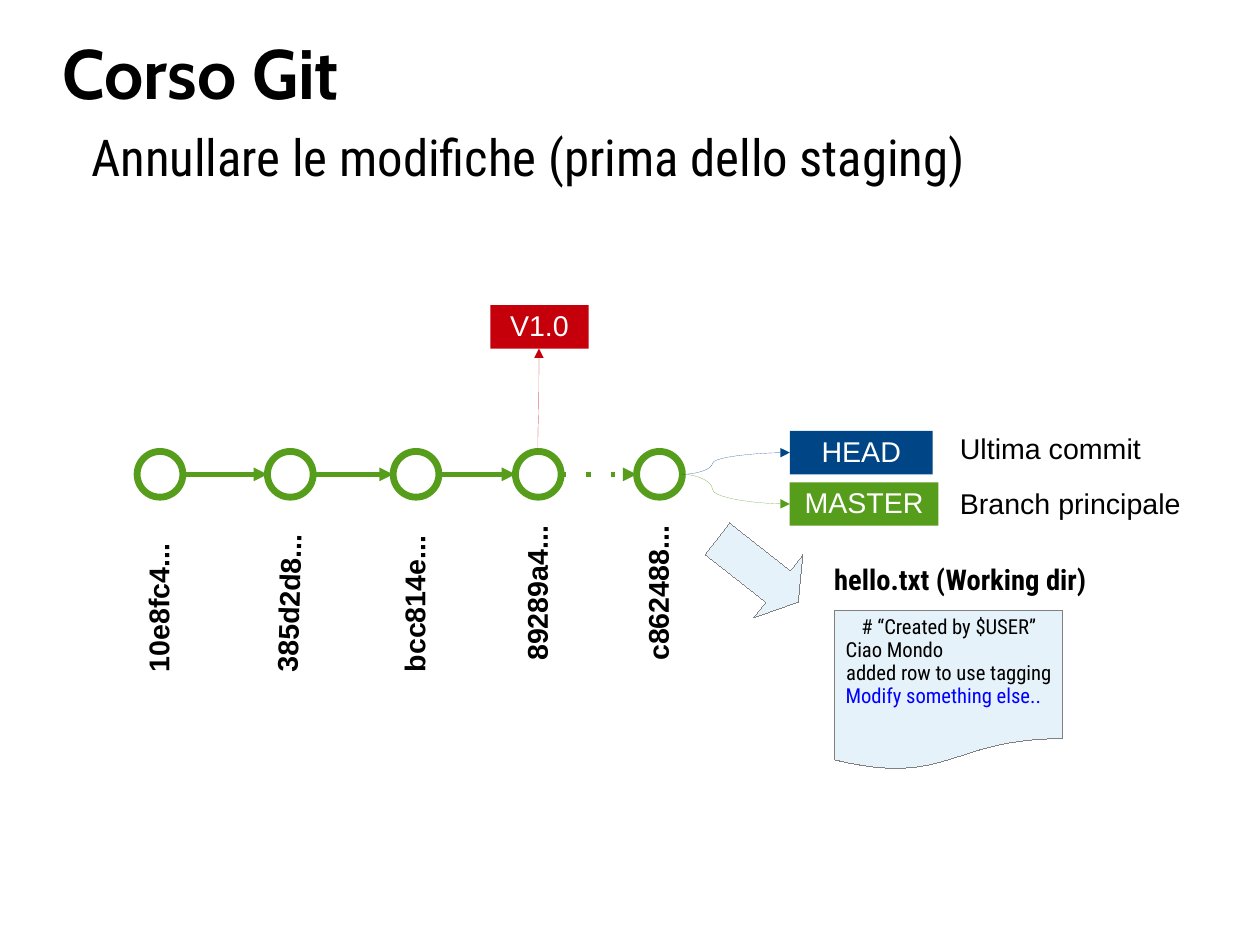
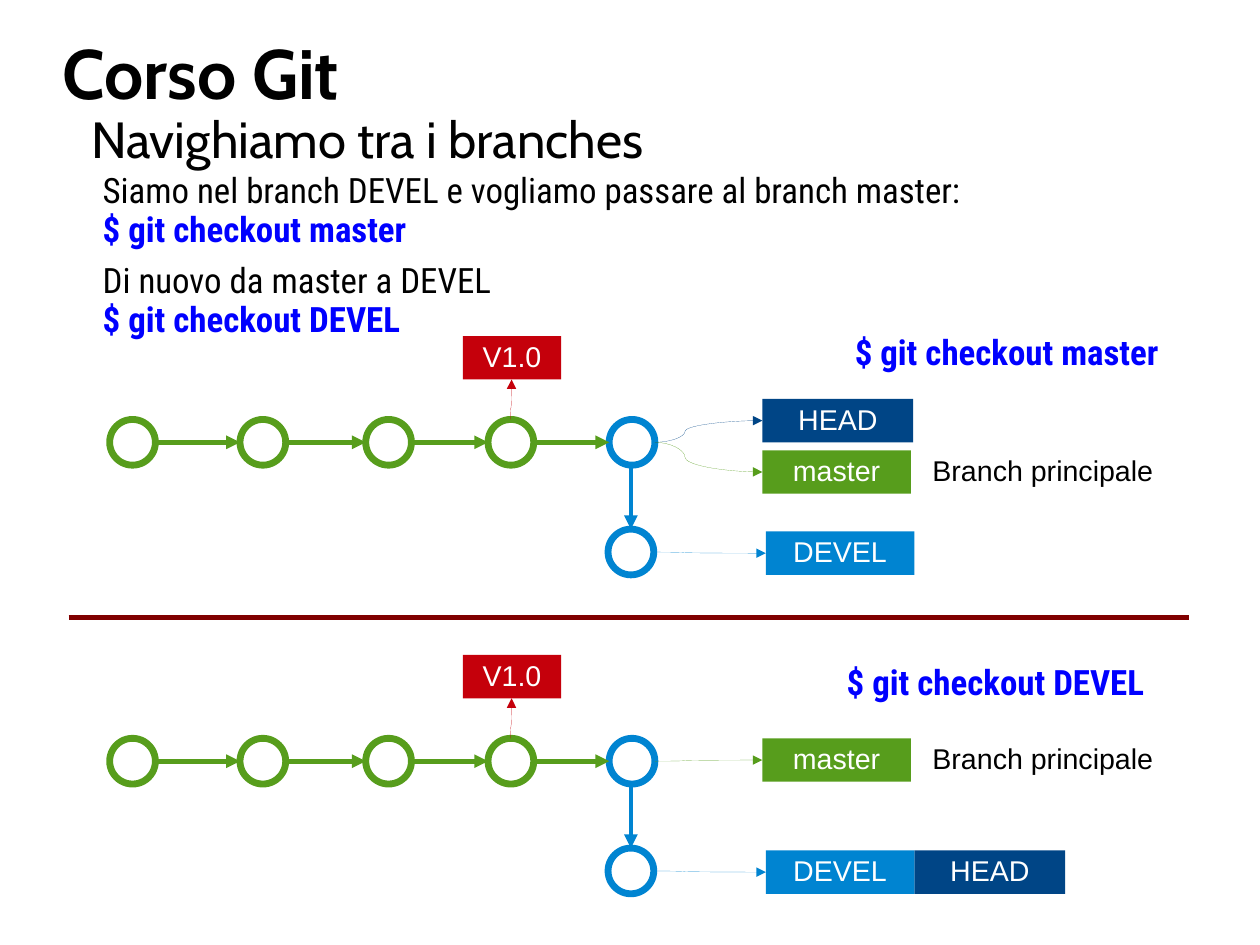
from dataclasses import dataclass
from lxml import etree
from pptx import Presentation
from pptx import util as u
from pptx.dml.color import RGBColor
from pptx.enum import shapes, text
from pptx.oxml.ns import qn


@dataclass(frozen=True)
class Theme:
    ink: str = "000000"
    white: str = "FFFFFF"
    green: str = "579D1C"
    blue: str = "0084D1"
    navy: str = "004586"
    red: str = "C5000B"
    rule: str = "800000"
    code: str = "0000FF"
    pale: str = "CFE7F5"
    grey: str = "808080"
    sans: str = "Arial"
    head: str = "Cabin"
    body: str = "Roboto Condensed"
    big: int = 44
    sub: int = 32
    mid: int = 22
    base: int = 18
    small: int = 13
    ring: float = 4.31
    link: float = 2.89
    hair: float = 0
    lead: float = 0.93


T = Theme()
WIDE, TALL = u.Cm(28), u.Cm(21)
TITLE = "Corso Git"
STEPS = (0, 1.14, 2.24, 3.31, 4.37)
DOT, TAG = 0.4, 0.38
TAGX, DEVX, NOTEX = 5.71, 5.74, 7.1
DROP = 0.96
HASHES = [
    ("10e8fc4...", 1.51, 5.98, 270),
    ("385d2d8...", 1.47, 5.98, 271.7),
    ("bcc814e...", 1.47, 5.98, 270),
    ("89289a4...", 1.41, 5.88, 270),
    ("c862488...", 1.41, 5.88, 270),
]
FILE = [
    ("# “Created by $USER”", T.ink, True),
    ("Ciao Mondo", T.ink, False),
    ("added row to use tagging", T.ink, True),
    ("Modify something else..", T.code, False),
]
STAGE = dict(
    x=1.2, y=3.95, rise=1.28, dotted=True, devel=False,
    tags=[("HEAD", T.navy, TAGX, -0.18, 1.25, True),
          ("MASTER", T.green, TAGX, 0.27, 1.3, True)],
    notes=[("Ultima commit", -0.2), ("Branch principale", 0.28)])
BRANCH = [
    dict(x=0.96, y=3.67, rise=0.73, dotted=False, devel=True,
         tags=[("HEAD", T.navy, TAGX, -0.18, 1.32, True),
               ("master", T.green, TAGX, 0.27, 1.3, True)],
         notes=[("Branch principale", 0.27)]),
    dict(x=0.96, y=6.46, rise=0.73, dotted=False, devel=True,
         tags=[("master", T.green, TAGX, 0, 1.3, True),
               ("HEAD", T.navy, 7.04, DROP + 0.02, 1.32, False)],
         notes=[("Branch principale", 0)]),
]
STEPTEXT = [
    (1.46, 1.12, "Siamo nel branch DEVEL e vogliamo passare al branch master:",
     "$ git checkout master"),
    (2.25, 0.78, "Di nuovo da master a DEVEL", "$ git checkout DEVEL"),
]
CALLS = [(7.38, 2.88, 3.12, "$ git checkout master"),
         (7.31, 5.76, 3.04, "$ git checkout DEVEL")]


def rgb(c):
    return RGBColor.from_string(c)


def inch(*vals):
    return [u.Inches(v) for v in vals]


def write(shape, rows, size, font, align=text.PP_ALIGN.LEFT, wrap=True,
          anchor=text.MSO_ANCHOR.TOP, pad=(0.1, 0.05)):
    tf = shape.text_frame
    tf.word_wrap = wrap
    tf.auto_size = text.MSO_AUTO_SIZE.NONE
    tf.vertical_anchor = anchor
    tf.margin_left = tf.margin_right = u.Inches(pad[0])
    tf.margin_top = tf.margin_bottom = u.Inches(pad[1])
    tf.text = "\n".join(r[0] for r in rows)
    for para, (_, color, bold) in zip(tf.paragraphs, rows):
        para.alignment = align
        para.line_spacing = T.lead
        for run in para.runs:
            f = run.font
            f.size, f.name, f.bold = u.Pt(size), font, bold
            f.color.rgb = rgb(color)


def label(slide, at, rows, size=T.base, font=T.sans):
    box = slide.shapes.add_textbox(*inch(*at))
    write(box, rows, size, font)
    return box


def stroke(shape, color, width):
    shape.line.color.rgb = rgb(color)
    ln = shape._element.spPr.find(qn("a:ln"))
    ln.set("w", str(int(u.Pt(width))))
    return ln


def form(slide, kind, at, fill=None, line=None, width=T.hair, alpha=None):
    s = slide.shapes.add_shape(kind, *inch(*at))
    s.shadow.inherit = False
    if fill:
        s.fill.solid()
        s.fill.fore_color.rgb = rgb(fill)
        if alpha:
            clr = s._element.spPr.find(qn("a:solidFill"))[0]
            etree.SubElement(clr, qn("a:alpha")).set("val", str(alpha * 1000))
    else:
        s.fill.background()
    if line:
        stroke(s, line, width)
    else:
        s.line.fill.background()
    return s


def wire(slide, ends, color, width=T.link, bend=None, arrow=True, dotted=False):
    kind = shapes.MSO_CONNECTOR.CURVE if bend else shapes.MSO_CONNECTOR.STRAIGHT
    c = slide.shapes.add_connector(kind, *inch(*ends))
    ln = stroke(c, color, width)
    pr = c._element.spPr
    if dotted:
        dash = etree.SubElement(ln, qn("a:custDash"))
        ds = etree.SubElement(dash, qn("a:ds"))
        ds.set("d", "100000")
        ds.set("sp", "440000")
    if arrow:
        etree.SubElement(ln, qn("a:tailEnd")).set("type", "triangle")
    etree.SubElement(pr, qn("a:effectLst"))
    if bend:
        av = pr.find(qn("a:prstGeom")).find(qn("a:avLst"))
        gd = etree.SubElement(av, qn("a:gd"))
        gd.set("name", "adj1")
        gd.set("fmla", f"val {round(bend * 100000)}")
    return c


def climb(slide, x, low, high, color):
    mid, half, off = (low + high) / 2, (low - high) / 2, 0.005
    c = wire(slide, (x + half, mid + off, x - half, mid - off), color, T.hair, 0.3)
    c._element.spPr.find(qn("a:xfrm")).set("rot", "5400000")


def tag(slide, name, color, x, y, w):
    s = form(slide, shapes.MSO_SHAPE.RECTANGLE, (x, y, w, TAG), color)
    write(s, [(name, T.white, False)], T.base, T.sans, text.PP_ALIGN.CENTER)


def ring(slide, x, y, color):
    form(slide, shapes.MSO_SHAPE.OVAL, (x, y, DOT, DOT), None, color, T.ring)


def graph(slide, x, y, rise, dotted, devel, tags, notes):
    xs = [x + s for s in STEPS]
    mid, tip = y + DOT / 2, xs[-1] + DOT
    for i, left in enumerate(xs):
        last = i == len(xs) - 1
        ring(slide, left, y, T.blue if last and devel else T.green)
        if i:
            wire(slide, (xs[i - 1] + DOT, mid, left, mid), T.green,
                 dotted=dotted and last)
    tag(slide, "V1.0", T.red, x + 3.09, y - rise, 0.86)
    climb(slide, xs[3] + DOT / 2, y, y - rise + TAG, T.red)
    for name, color, dx, dy, w, tied in tags:
        tag(slide, name, color, x + dx, y + dy, w)
        if tied:
            wire(slide, (tip, mid, x + dx, y + dy + TAG / 2), color, T.hair, 0.28)
    for note, dy in notes:
        label(slide, (x + NOTEX, y + dy, 2.2, TAG), [(note, T.ink, False)])
    if devel:
        low, axis = y + DROP, xs[-1] + DOT / 2 - 0.01
        ring(slide, axis - DOT / 2, low, T.blue)
        wire(slide, (axis, y + DOT, axis, low), T.blue)
        tag(slide, "DEVEL", T.blue, x + DEVX, low + 0.02, 1.3)
        wire(slide, (axis + DOT / 2, low + DOT / 2, x + DEVX,
                     low + 0.02 + TAG / 2), T.blue, T.hair, 0.27)


def page(deck, sub, top, tall, font):
    slide = deck.slides.add_slide(deck.slide_layouts[5])
    t = slide.shapes.title
    t.left, t.top, t.width, t.height = inch(0.55, 0.33, 9.91, 0.68)
    write(t, [(TITLE, T.ink, True)], T.big, T.head,
          anchor=text.MSO_ANCHOR.MIDDLE, pad=(0, 0))
    label(slide, (0.7, top, 9.8, tall), [(sub, T.ink, False)], T.sub, font)
    return slide


def staging(deck):
    s = page(deck, "Annullare le modifiche (prima dello staging)", 1.1, 0.9, T.body)
    graph(s, **STAGE)
    for step, (name, w, foot, turn) in zip(STEPS, HASHES):
        axis = STAGE["x"] + step + DOT / 2
        box = label(s, (axis - w / 2, foot - w / 2 - TAG / 2, w, TAG),
                    [(name, T.ink, True)])
        box.rotation = turn
    doc = form(s, shapes.MSO_SHAPE.FLOWCHART_DOCUMENT, (7.3, 5.34, 2, 1.4),
               T.pale, T.grey, alpha=50)
    write(doc, [(r, c, False) for r, c, _ in FILE], T.small, T.body, wrap=False)
    for para, (_, _, mid) in zip(doc.text_frame.paragraphs, FILE):
        para.alignment = text.PP_ALIGN.CENTER if mid else text.PP_ALIGN.LEFT
    arrow = form(s, shapes.MSO_SHAPE.RIGHT_ARROW, (6.18, 4.64, 0.9, 0.7),
                 T.pale, T.grey, alpha=50)
    arrow.adjustments[1] = 0.32
    arrow.rotation = 38.1
    label(s, (7.2, 4.89, 2.8, 0.66), [("hello.txt (Working dir)", T.ink, True)],
          font=T.body)


def branches(deck):
    s = page(deck, "Navighiamo tra i branches", 0.94, 0.6, T.head)
    for y, h, say, cmd in STEPTEXT:
        label(s, (0.8, y, 9.1, h), [(say, T.ink, False), (cmd, T.code, True)],
              T.mid, T.body)
    for row in BRANCH:
        graph(s, **row)
    for x, y, w, cmd in CALLS:
        label(s, (x, y, w, 0.78), [(cmd, T.code, True)], T.mid, T.body)
    wire(s, (0.6, 5.4, 10.4, 5.4), T.rule, arrow=False)


def main():
    deck = Presentation()
    deck.slide_width, deck.slide_height = WIDE, TALL
    staging(deck)
    branches(deck)
    deck.save("out.pptx")


if __name__ == "__main__":
    main()
